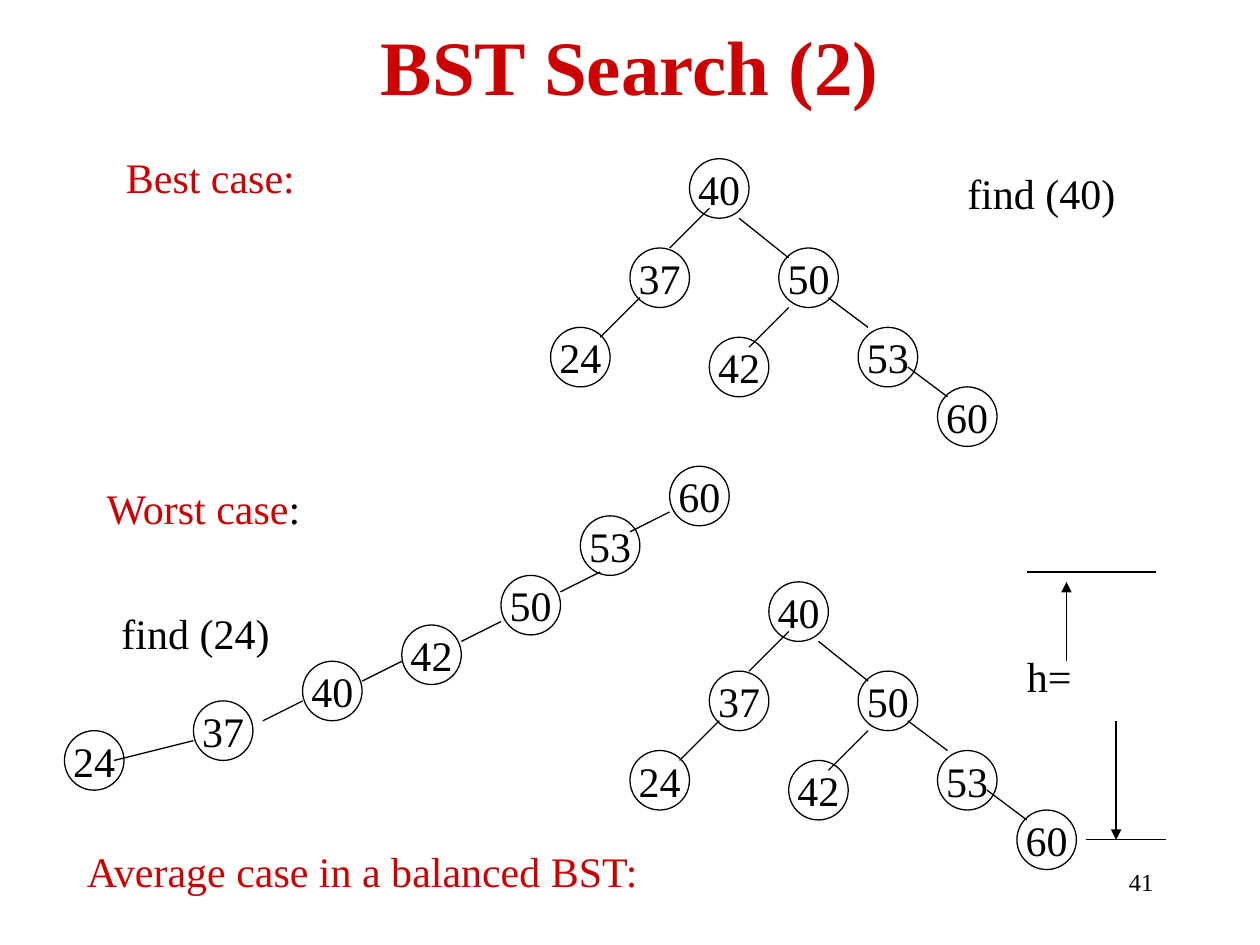
from itertools import pairwise

from lxml.etree import SubElement
from pptx import Presentation
from pptx.dml.color import RGBColor
from pptx.enum.shapes import MSO_CONNECTOR, MSO_SHAPE
from pptx.enum.text import MSO_ANCHOR, MSO_AUTO_SIZE, PP_ALIGN
from pptx.oxml.ns import qn
from pptx.util import Cm, Pt

COLORS = {"accent": "CC0000", "ink": "000000"}
FONT = "Times New Roman"
NODE_SIZE = 1.2
LABEL_HEIGHT = 1.27

BALANCED_NODES = [
    ("40", 0, 0), ("37", -1.2, 1.8), ("50", 1.8, 1.8), ("24", -2.8, 3.4),
    ("42", 0.4, 3.6), ("53", 3.4, 3.4), ("60", 5, 4.6),
]
BALANCED_EDGES = [
    ((1, 1.2), (2, 2)), ((0.4, 1), (-0.4, 1.8)), ((-1, 2.8), (-1.8, 3.6)),
    ((2, 3), (1.2, 3.8)), ((2.8, 2.8), (3.6, 3.4)), ((4.4, 4.2), (5.2, 4.8)),
]
CHAIN_NODES = [
    ("60", 13.5, 9.4), ("53", 11.7, 10.4), ("50", 10.1, 11.6), ("42", 8.1, 12.6),
    ("40", 6.1, 13.33), ("37", 3.9, 14.13), ("24", 1.3, 14.73),
]
CHAIN_EDGE_STARTS = [(13.5, 10.32), (12.1, 11.53), (10.1, 12.53), (8.1, 13.33), (6.1, 14.13)]


def write_text(frame, *parts, size=24, bold=False, align=PP_ALIGN.LEFT,
               anchor=MSO_ANCHOR.TOP, wrap=False):
    """Fill a text frame with (text, colour name) parts in one paragraph."""
    frame.word_wrap = wrap
    frame.vertical_anchor = anchor
    paragraph = frame.paragraphs[0]
    paragraph.alignment = align
    for text, color in parts:
        run = paragraph.add_run()
        run.text = text
        run.font.name = FONT
        run.font.size = Pt(size)
        run.font.bold = bold
        run.font.color.rgb = RGBColor.from_string(COLORS[color])


def add_label(slide, left, top, width, *parts, height=LABEL_HEIGHT, **text_format):
    """Add a text box."""
    label = slide.shapes.add_textbox(Cm(left), Cm(top), Cm(width), Cm(height))
    write_text(label.text_frame, *parts, **text_format)
    if not label.text_frame.word_wrap:
        label.text_frame.auto_size = MSO_AUTO_SIZE.SHAPE_TO_FIT_TEXT


def add_node(slide, key, left, top):
    """Add a round tree node holding its key."""
    node = slide.shapes.add_shape(
        MSO_SHAPE.OVAL, Cm(left), Cm(top), Cm(NODE_SIZE), Cm(NODE_SIZE))
    node.shadow.inherit = False
    node.fill.background()
    node.line.color.rgb = RGBColor.from_string(COLORS["ink"])
    node.line.width = Pt(0.75)
    write_text(node.text_frame, (key, "ink"), align=PP_ALIGN.CENTER,
               anchor=MSO_ANCHOR.MIDDLE)


def add_edge(slide, start, end, arrow=False):
    """Add a thin straight line, with an arrowhead at its end if asked."""
    edge = slide.shapes.add_connector(
        MSO_CONNECTOR.STRAIGHT, *(Cm(value) for value in (*start, *end)))
    edge.line.color.rgb = RGBColor.from_string(COLORS["ink"])
    edge.line.width = Pt(0.75)
    if arrow:
        SubElement(edge.line._get_or_add_ln(), qn("a:tailEnd"), type="triangle")
    SubElement(edge._element.spPr, qn("a:effectLst"))


def add_balanced_tree(slide, left, top):
    """Draw the balanced tree with its root at the given place."""
    for key, dx, dy in BALANCED_NODES:
        add_node(slide, key, left + dx, top + dy)
    for edge in BALANCED_EDGES:
        add_edge(slide, *((left + dx, top + dy) for dx, dy in edge))


def add_chain_tree(slide):
    """Draw the degenerate tree that is a single descending chain."""
    for node in CHAIN_NODES:
        add_node(slide, *node)
    for x, y in CHAIN_EDGE_STARTS:
        add_edge(slide, (x, y), (x - 0.8, y + 0.4))
    add_edge(slide, (3.9, 14.93), (2.3, 15.33))


def add_height_marker(slide):
    """Mark the height of the lower balanced tree."""
    add_edge(slide, (20.7, 11.53), (23.3, 11.53))
    add_edge(slide, (21.9, 16.93), (23.5, 16.93))
    add_label(slide, 20.45, 12.98, 1.42, ("h=", "ink"))
    add_edge(slide, (21.5, 13.33), (21.5, 11.73), arrow=True)
    add_edge(slide, (22.5, 14.53), (22.5, 16.93), arrow=True)


def main():
    """Build and save the slide."""
    deck = Presentation()
    deck.slide_width, deck.slide_height = Cm(25.4), Cm(19.05)
    slide = deck.slides.add_slide(deck.slide_layouts[6])

    add_label(slide, 1.9, -0.28, 21.6, ("BST Search (2)", "accent"), height=3.18,
              size=44, bold=True, align=PP_ALIGN.CENTER, anchor=MSO_ANCHOR.MIDDLE,
              wrap=True)

    add_label(slide, 2.29, 2.92, 4.11, ("Best case:", "accent"))
    add_label(slide, 19.25, 3.25, 3.5, ("find (40)", "ink"))
    add_balanced_tree(slide, 13.9, 3.2)

    add_label(slide, 1.5, 17.0 - 0.08, 11.7, ("Average case in a balanced BST:", "accent"))
    add_balanced_tree(slide, 15.5, 11.73)
    add_height_marker(slide)

    add_label(slide, 1.9, 9.6, 4.47, ("Worst case", "accent"), (":", "ink"))
    add_label(slide, 2.2, 12.12, 3.5, ("find (24)", "ink"))
    add_chain_tree(slide)

    add_label(slide, 18.2, 17.35, 5.3, ("41", "ink"), size=14,
              align=PP_ALIGN.RIGHT, wrap=True)
    deck.save("out.pptx")


if __name__ == "__main__":
    main()
